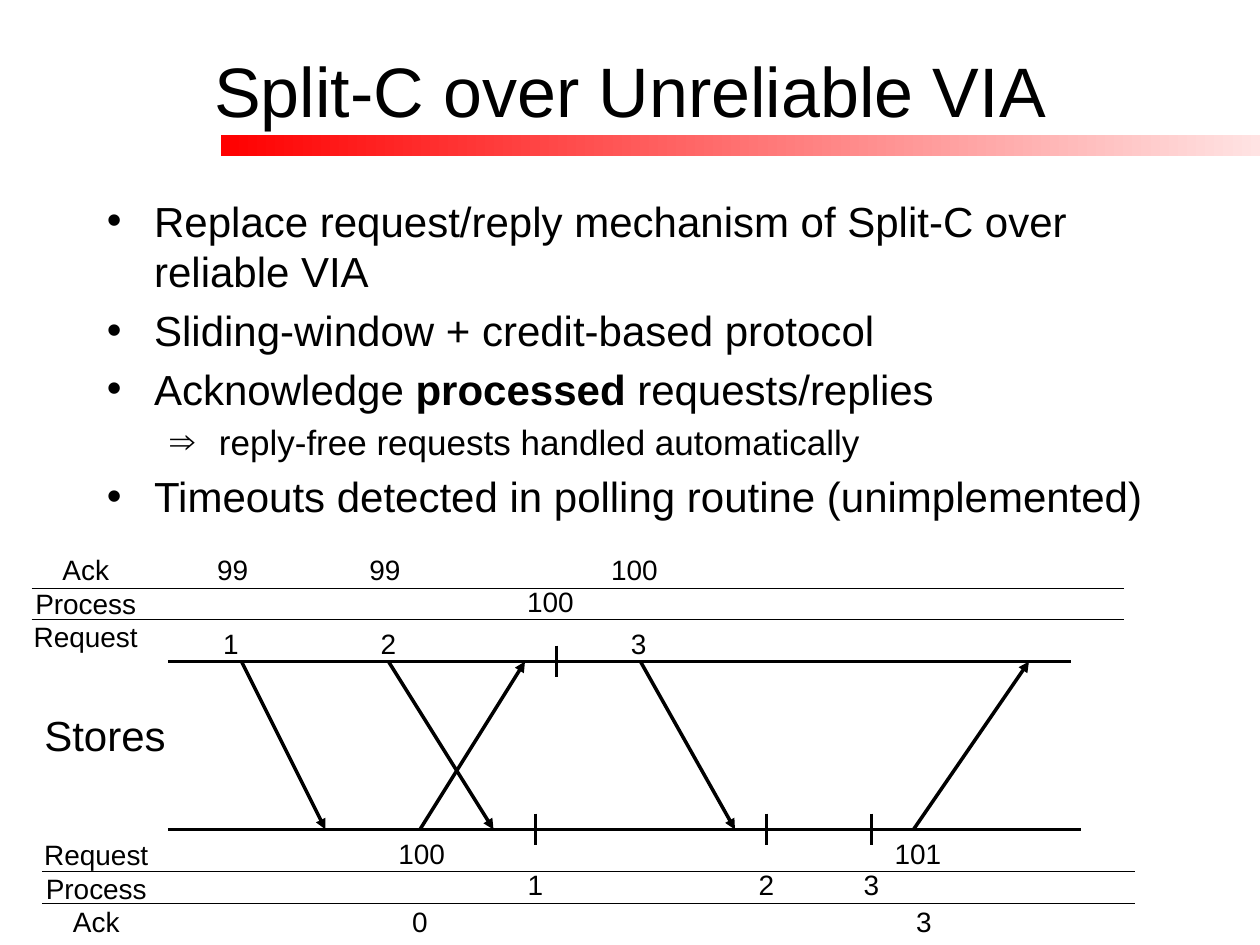
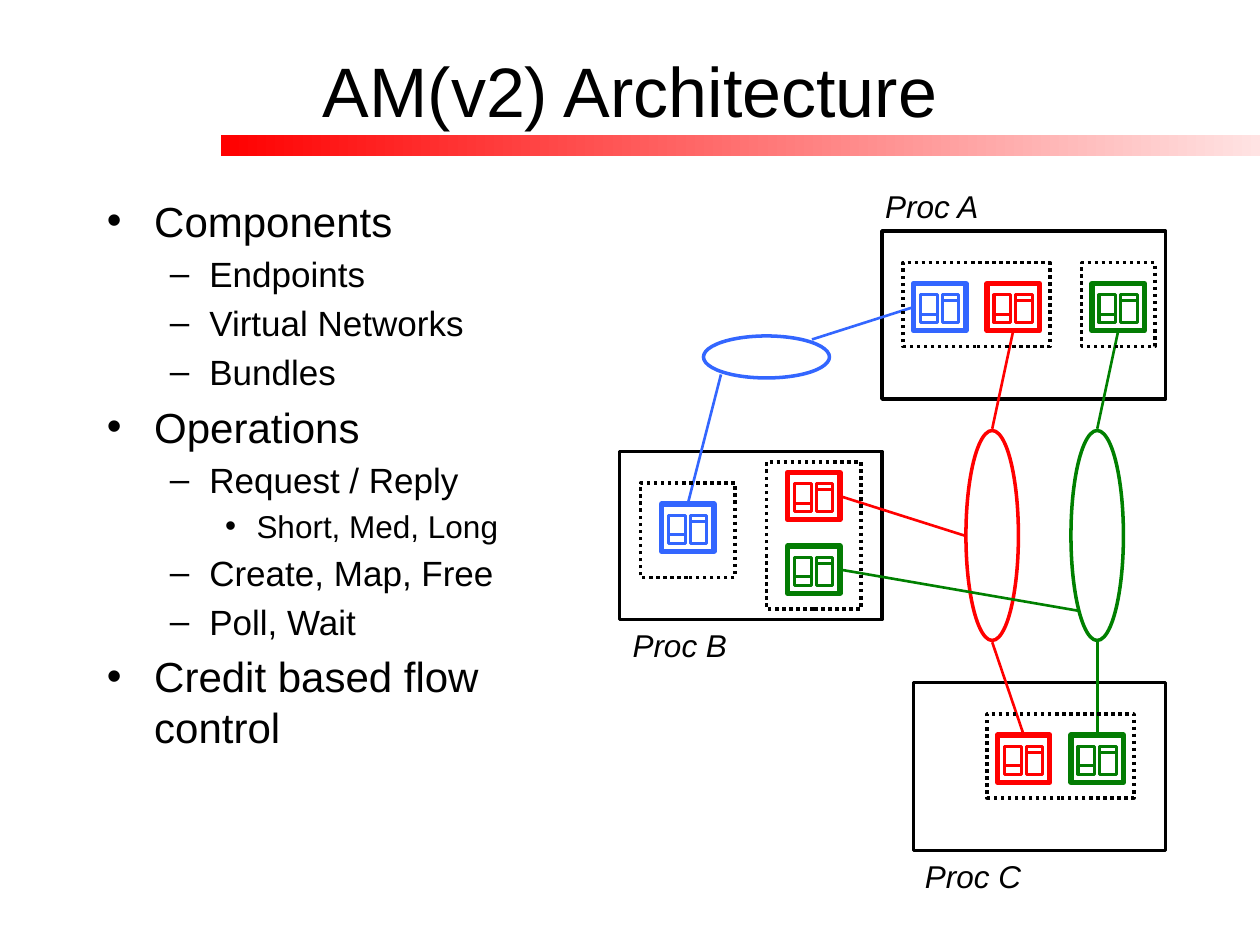
from lxml.etree import SubElement
from pptx import Presentation
from pptx.dml.color import RGBColor
from pptx.enum.dml import MSO_LINE
from pptx.enum.shapes import MSO_CONNECTOR, MSO_SHAPE
from pptx.enum.text import MSO_ANCHOR, MSO_AUTO_SIZE, PP_ALIGN
from pptx.oxml.ns import qn
from pptx.util import Pt

COLORS = {
    "black": "000000",
    "white": "FFFFFF",
    "red": "FF0000",
    "pale red": "FFE3E3",
    "blue": "3366FF",
    "green": "008000",
    "deep green": "037C03",
}
COLORS = {name: RGBColor.from_string(value) for name, value in COLORS.items()}
FONT = "Arial"

# bullet level: text size, left margin, hanging indent
LEVELS = [(24, 27, 27), (20, 58.5, 22.5), (18, 85.5, 18)]


def add_line(slide, start, end, color="black", width=2, dash=None, arrow=False):
    connector = slide.shapes.add_connector(
        MSO_CONNECTOR.STRAIGHT, *[Pt(value) for value in (*start, *end)]
    )
    connector.line.color.rgb = COLORS[color]
    connector.line.width = Pt(width)
    if dash:
        connector.line.dash_style = dash
    if arrow:
        SubElement(connector.get_or_add_ln(), qn("a:tailEnd"), type="triangle")
    SubElement(connector.element.spPr, qn("a:effectLst"))
    return connector


def add_outline(slide, kind, box, color="black", width=2, dash=None, fill=None):
    shape = slide.shapes.add_shape(kind, *[Pt(value) for value in box])
    shape.shadow.inherit = False
    shape.line.color.rgb = COLORS[color]
    shape.line.width = Pt(width)
    if dash:
        shape.line.dash_style = dash
    if fill:
        shape.fill.solid()
        shape.fill.fore_color.rgb = COLORS[fill]
    else:
        shape.fill.background()
    return shape


presentation = Presentation()
presentation.slide_width, presentation.slide_height = Pt(720), Pt(540)

# title, body width, body height, paragraphs of (level, bullet, text runs)
contents = [
    ("Split-C over Unreliable VIA", 612, 204, [
        (0, "•", ["Replace request/reply mechanism of Split-C over reliable VIA"]),
        (0, "•", ["Sliding-window + credit-based protocol"]),
        (0, "•", ["Acknowledge ", "processed", " requests/replies"]),
        (1, "⇒", [" reply-free requests handled automatically"]),
        (0, "•", ["Timeouts detected in polling routine (unimplemented)"]),
    ]),
    ("AM(v2) Architecture", 270, 372, [
        (0, "•", ["Components"]),
        (1, "–", ["Endpoints"]),
        (1, "–", ["Virtual Networks"]),
        (1, "–", ["Bundles"]),
        (0, "•", ["Operations"]),
        (1, "–", ["Request / Reply"]),
        (2, "•", ["Short, Med, Long"]),
        (1, "–", ["Create, Map, Free"]),
        (1, "–", ["Poll, Wait"]),
        (0, "•", ["Credit based flow control"]),
    ]),
]

slides = []
for title_text, body_width, body_height, items in contents:
    slide = presentation.slides.add_slide(presentation.slide_layouts[5])
    slides.append(slide)

    title = slide.shapes.title
    title_box = {"left": 54, "top": 6, "width": 612, "height": 90}
    for name, value in title_box.items():
        setattr(title, name, Pt(value))
    title.text_frame.text = title_text
    title.text_frame.vertical_anchor = MSO_ANCHOR.MIDDLE
    title.text_frame.auto_size = MSO_AUTO_SIZE.NONE
    paragraph = title.text_frame.paragraphs[0]
    paragraph.alignment = PP_ALIGN.CENTER
    run = paragraph.runs[0]
    for name, value in {"name": FONT, "size": Pt(40), "bold": False}.items():
        setattr(run.font, name, value)
    run.font.color.rgb = COLORS["black"]

    band = slide.shapes.add_shape(MSO_SHAPE.RECTANGLE, Pt(126), Pt(77), Pt(594), Pt(12))
    band.shadow.inherit = False
    band.line.fill.background()
    band.fill.gradient()
    band.fill.gradient_angle = 0
    for stop, color in zip(band.fill.gradient_stops, ("red", "pale red")):
        stop.color.rgb = COLORS[color]
    title.element.addprevious(band.element)

    body = slide.shapes.add_textbox(Pt(54), Pt(108), Pt(body_width), Pt(body_height))
    text_frame = body.text_frame
    text_frame.word_wrap = True
    for index, (level, bullet, texts) in enumerate(items):
        size, margin, hanging = LEVELS[level]
        paragraph = text_frame.add_paragraph() if index else text_frame.paragraphs[0]
        paragraph.level = level
        paragraph.space_before = Pt(0.2 * size if index else 0)
        properties = paragraph._p.get_or_add_pPr()
        properties.set("marL", str(Pt(margin)))
        properties.set("indent", str(-Pt(hanging)))
        SubElement(properties, qn("a:buFont"), typeface=FONT)
        SubElement(properties, qn("a:buChar"), char=bullet)
        for text in texts:
            run = paragraph.add_run()
            run.text = text
            run_format = {"name": FONT, "size": Pt(size), "bold": text == "processed"}
            for name, value in run_format.items():
                setattr(run.font, name, value)
            run.font.color.rgb = COLORS["black"]

protocol_slide, architecture_slide = slides

# Message timelines
SENDER, RECEIVER = 378, 474
add_line(protocol_slide, (96, SENDER), (612, SENDER))
add_line(protocol_slide, (96, RECEIVER), (618, RECEIVER))
for start, end in [(138, 186), (222, 282), (366, 420)]:
    add_line(protocol_slide, (start, SENDER), (end, RECEIVER), arrow=True)
for start, end in [(240, 300), (522, 588)]:
    add_line(protocol_slide, (start, RECEIVER), (end, SENDER), arrow=True)
for x, y in [(318, SENDER), (306, RECEIVER), (438, RECEIVER), (498, RECEIVER)]:
    add_line(protocol_slide, (x, y - 9), (x, y + 9))
for left, y in [(18, 336), (18, 354), (24, 498), (24, 516)]:
    add_line(protocol_slide, (left, y), (left + 624, y), width=0.25,
             dash=MSO_LINE.ROUND_DOT)

# Processes, endpoints and virtual networks
for box in [(504, 132, 162, 96), (354, 258, 150, 96), (522, 390, 144, 96)]:
    add_outline(architecture_slide, MSO_SHAPE.RECTANGLE, box)

networks = [
    ("green", (612, 246, 30, 120)),
    ("red", (552, 246, 30, 120)),
    ("blue", (402, 192, 72, 24)),
]
for color, box in networks:
    add_outline(architecture_slide, MSO_SHAPE.OVAL, box, color)

# endpoint colour, left, top, side of the link, link colour, link end
endpoints = [
    ("red", 564, 162, 2, "red", (567, 245)),
    ("deep green", 624, 162, 2, "green", (627, 245)),
    ("red", 450, 270, 3, "red", (551, 306)),
    ("deep green", 450, 312, 3, "green", (616, 349)),
    ("red", 570, 420, 0, "red", (567, 367)),
    ("deep green", 612, 420, 0, "green", (627, 367)),
    ("blue", 522, 162, 1, "blue", (464, 194)),
    ("blue", 378, 288, 0, "blue", (412, 214)),
]
for color, left, top, side, link_color, link_end in endpoints:
    frame = add_outline(architecture_slide, MSO_SHAPE.RECTANGLE,
                        (left, top, 30, 27), color, 3)
    for panel_offset, divider_offset in [(4, 17.5), (16.5, 10)]:
        x, y = left + panel_offset, top + divider_offset
        add_outline(architecture_slide, MSO_SHAPE.RECTANGLE,
                    (x, top + 6.5, 9.5, 16), color, 1.75, fill="white")
        add_line(architecture_slide, (x, y), (x + 9.5, y), color, 1.75)
    link = add_line(architecture_slide, (left, top), link_end, link_color, 1.5)
    link.begin_connect(frame, side)

bundles = [
    (438, 264, 54, 84),
    (564, 408, 84, 48),
    (516, 150, 84, 48),
    (366, 276, 54, 54),
    (618, 150, 42, 48),
]
for box in bundles:
    add_outline(architecture_slide, MSO_SHAPE.RECTANGLE, box, dash=MSO_LINE.ROUND_DOT)

# Labels: slide, box, lines, size, italic
labels = [
    (protocol_slide, (12, 312, 74, 65), ["Ack", "Process", "Request"], 16, False),
    (protocol_slide, (18, 475, 74, 65), ["Request", "Process", "Ack"], 16, False),
    (protocol_slide, (18, 402, 84, 36), ["Stores"], 24, False),
    (architecture_slide, (498, 103, 69, 29), ["Proc A"], 18, True),
    (architecture_slide, (354, 354, 69, 29), ["Proc B"], 18, True),
    (architecture_slide, (521, 486, 70, 29), ["Proc C"], 18, True),
]
counters = {
    312: [(133, "99"), (220, "99"), (362.5, "100")],
    330: [(314.5, "100")],
    354: [(132, "1"), (222, "2"), (365, "3")],
    474: [(241, "100"), (524.5, "101")],
    492: [(306, "1"), (438, "2"), (498, "3")],
    513: [(240, "0"), (528, "3")],
}
for top, row in counters.items():
    for center, number in row:
        labels.append((protocol_slide, (center - 21, top, 42, 27), [number], 16, False))

for slide, box, lines, size, italic in labels:
    text_frame = slide.shapes.add_textbox(*[Pt(value) for value in box]).text_frame
    text_frame.word_wrap = False
    text_frame.vertical_anchor = MSO_ANCHOR.MIDDLE
    for index, line in enumerate(lines):
        paragraph = text_frame.add_paragraph() if index else text_frame.paragraphs[0]
        paragraph.alignment = PP_ALIGN.CENTER
        run = paragraph.add_run()
        run.text = line
        for name, value in {"name": FONT, "size": Pt(size), "italic": italic}.items():
            setattr(run.font, name, value)
        run.font.color.rgb = COLORS["black"]

presentation.save("out.pptx")
